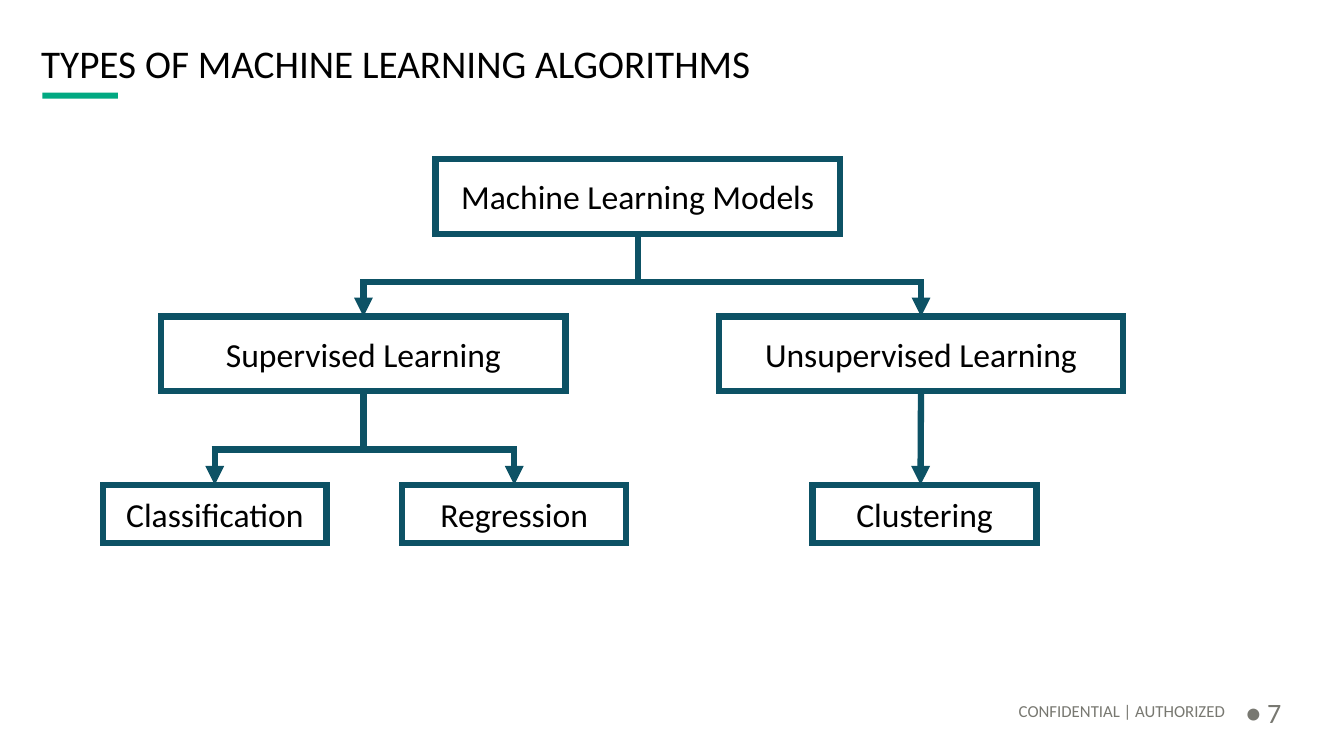
"""Build a slide with a tree of machine learning algorithm types."""
from dataclasses import dataclass

from lxml import etree
from pptx import Presentation
from pptx.dml.color import RGBColor
from pptx.enum.shapes import MSO_CONNECTOR, MSO_SHAPE
from pptx.enum.text import MSO_ANCHOR, PP_ALIGN
from pptx.oxml.ns import qn
from pptx.util import Inches, Pt

RECTANGLE = MSO_SHAPE.RECTANGLE
STRAIGHT = MSO_CONNECTOR.STRAIGHT
MIDDLE, BOTTOM = MSO_ANCHOR.MIDDLE, MSO_ANCHOR.BOTTOM
LEFT, CENTER, RIGHT = PP_ALIGN.LEFT, PP_ALIGN.CENTER, PP_ALIGN.RIGHT

FONT = "Calibri"
BLACK, GRAY, GREEN, TEAL = "000000", "787871", "01A982", "0D5265"
LINE_WIDTH = 4.5
BAR_OVERLAP = 0.03


@dataclass(frozen=True)
class Node:
    text: str
    left: float
    top: float
    width: float = 4.01
    height: float = 0.74

    @property
    def center(self) -> float:
        return self.left + self.width / 2

    @property
    def bottom(self) -> float:
        return self.top + self.height


@dataclass(frozen=True)
class Branch:
    parent: Node
    children: tuple[Node, ...]
    bar_top: float


@dataclass(frozen=True)
class Label:
    text: str
    left: float
    top: float
    width: float
    height: float
    size: float
    color: str
    anchor: MSO_ANCHOR
    align: PP_ALIGN
    inset: float


def leaf(text: str, left: float) -> Node:
    return Node(text, left, 4.81, 2.22, 0.58)


MODELS = Node("Machine Learning Models", 4.32, 1.58)
SUPERVISED = Node("Supervised Learning", 1.6, 3.14)
UNSUPERVISED = Node("Unsupervised Learning", 7.13, 3.14)
CLASSIFICATION = leaf("Classification", 1.02)
REGRESSION = leaf("Regression", 3.99)
CLUSTERING = leaf("Clustering", 8.06)
NODES = (MODELS, SUPERVISED, UNSUPERVISED, CLASSIFICATION, REGRESSION, CLUSTERING)
BRANCHES = (
    Branch(MODELS, (SUPERVISED, UNSUPERVISED), 2.8),
    Branch(SUPERVISED, (CLASSIFICATION, REGRESSION), 4.46),
)

TITLE = Label("TYPES OF MACHINE LEARNING ALGORITHMS", 0.31, 0.43, 12.57, 0.44,
              28, BLACK, MIDDLE, LEFT, 0.1)
FOOTER = Label("CONFIDENTIAL | AUTHORIZED", 4.07, 6.7, 8.18, 0.45,
               12, GRAY, BOTTOM, RIGHT, 0)
PAGE_NUMBER = Label("7", 12.25, 6.89, 0.75, 0.4, 20, GRAY, MIDDLE, LEFT, 0.05)


def rgb(color: str) -> RGBColor:
    return RGBColor.from_string(color)


def write_text(shape, text: str, size: float, color: str, anchor: MSO_ANCHOR,
               align: PP_ALIGN, inset: float):
    frame = shape.text_frame
    frame.text = text
    frame.word_wrap = True
    frame.vertical_anchor = anchor
    frame.margin_left = frame.margin_right = Inches(0.1)
    frame.margin_top = frame.margin_bottom = Inches(inset)
    para = frame.paragraphs[0]
    para.alignment = align
    span = para.runs[0]
    span.font.name = FONT
    span.font.size = Pt(size)
    span.font.color.rgb = rgb(color)
    return para


def add_label(page, label: Label):
    box = page.shapes.add_textbox(Inches(label.left), Inches(label.top),
                                  Inches(label.width), Inches(label.height))
    para = write_text(box, label.text, label.size, label.color,
                      label.anchor, label.align, label.inset)
    para.line_spacing = 0.9
    return para


def add_page_number(page) -> None:
    para = add_label(page, PAGE_NUMBER)
    properties = para._p.get_or_add_pPr()
    properties.set("marL", str(Inches(0.22)))
    properties.set("indent", str(Inches(-0.22)))
    etree.SubElement(properties, qn("a:buSzPct"), val="120000")
    etree.SubElement(properties, qn("a:buFont"), typeface=FONT)
    etree.SubElement(properties, qn("a:buChar"), char="•")


def add_rectangle(page, left: float, top: float, width: float, height: float):
    box = page.shapes.add_shape(RECTANGLE, Inches(left), Inches(top),
                                Inches(width), Inches(height))
    box.shadow.inherit = False
    return box


def add_title_rule(page) -> None:
    rule = add_rectangle(page, 0.42, 0.92, 0.75, 0.06)
    rule.fill.solid()
    rule.fill.fore_color.rgb = rgb(GREEN)
    rule.line.fill.background()


def style_line(line) -> None:
    line.color.rgb = rgb(TEAL)
    line.width = Pt(LINE_WIDTH)
    etree.SubElement(line._get_or_add_ln(), qn("a:miter"), lim="800000")


def add_node(page, node: Node) -> None:
    box = add_rectangle(page, node.left, node.top, node.width, node.height)
    box.fill.background()
    style_line(box.line)
    write_text(box, node.text, 24, BLACK, MIDDLE, CENTER, 0.1)


def add_line(page, start: tuple[float, float], end: tuple[float, float],
             arrow: bool = False) -> None:
    line = page.shapes.add_connector(STRAIGHT, *map(Inches, start + end))
    style_line(line.line)
    if arrow:
        etree.SubElement(line.line._get_or_add_ln(), qn("a:tailEnd"), type="triangle")
    etree.SubElement(line._element.spPr, qn("a:effectLst"))


def add_branch(page, branch: Branch) -> None:
    parent, bar_top = branch.parent, branch.bar_top
    centers = [child.center for child in branch.children]
    add_line(page, (parent.center, parent.bottom), (parent.center, bar_top))
    add_line(page, (min(centers) - BAR_OVERLAP, bar_top),
             (max(centers) + BAR_OVERLAP, bar_top))
    for child in branch.children:
        add_line(page, (child.center, bar_top), (child.center, child.top), arrow=True)


def main() -> None:
    deck = Presentation()
    deck.slide_width, deck.slide_height = Inches(13.33), Inches(7.5)
    page = deck.slides.add_slide(deck.slide_layouts[6])
    add_title_rule(page)
    add_label(page, FOOTER)
    add_page_number(page)
    for node in NODES:
        add_node(page, node)
    for branch in BRANCHES:
        add_branch(page, branch)
    add_line(page, (UNSUPERVISED.center, UNSUPERVISED.bottom),
             (CLUSTERING.center - 0.04, CLUSTERING.top), arrow=True)
    add_label(page, TITLE)
    deck.save("out.pptx")


if __name__ == "__main__":
    main()
